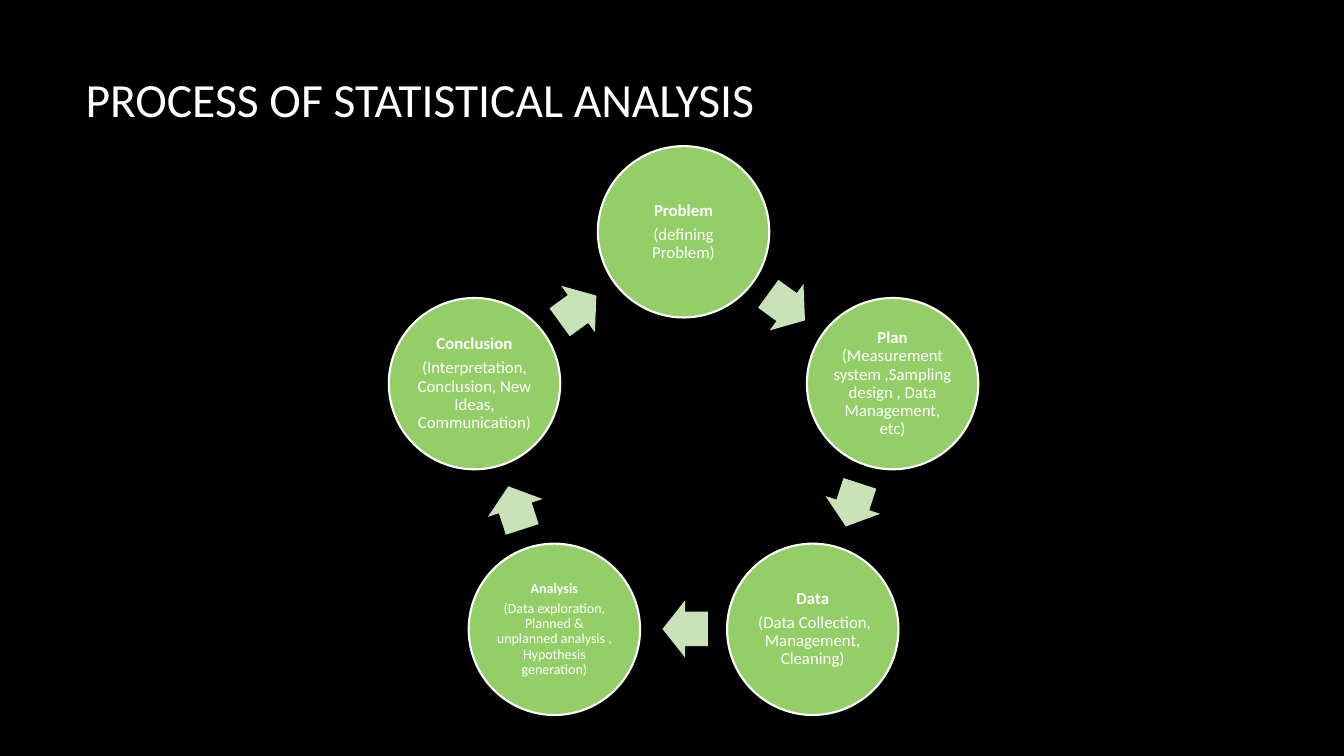
import math

import pptx
import pptx.dml.color
import pptx.enum.shapes
import pptx.enum.text
import pptx.util

Inches = pptx.util.Inches
Pt = pptx.util.Pt
SHAPES = pptx.enum.shapes.MSO_SHAPE
MIDDLE = pptx.enum.text.MSO_ANCHOR.MIDDLE
CENTER = pptx.enum.text.PP_ALIGN.CENTER


def paint(target, color):
    if hasattr(target, "solid"):
        target.solid()
        target = target.fore_color
    target.rgb = pptx.dml.color.RGBColor.from_string(color)


def write(para, text, size, bold=False):
    span = para.add_run()
    span.text = text
    for name, value in {"name": "Calibri", "size": Pt(size), "bold": bold}.items():
        setattr(span.font, name, value)
    paint(span.font.color, "FFFFFF")


deck = pptx.Presentation()
deck.slide_width = Inches(13.33)
deck.slide_height = Inches(7.5)
page = deck.slides.add_slide(deck.slide_layouts[6])
paint(page.background.fill, "000000")

title = page.shapes.add_textbox(Inches(0.75), Inches(0.67), Inches(11.08), Inches(0.62))
title.text_frame.word_wrap = True
title.text_frame.vertical_anchor = MIDDLE
write(title.text_frame.paragraphs[0], "PROCESS OF STATISTICAL ANALYSIS", 34)

stages = [
    (12, [[("Problem", True)], [("(defining Problem)", False)]]),
    (12, [[("Plan", True),
           (" (Measurement system ,Sampling design , Data Management, etc)", False)]]),
    (12, [[("Data", True)], [(" (Data Collection, Management, Cleaning)", False)]]),
    (10, [[("Analysis", True)],
          [("(Data exploration, Planned & unplanned analysis , Hypothesis generation)", False)]]),
    (12, [[("Conclusion", True)],
          [("(Interpretation, Conclusion, New Ideas, Communication)", False)]]),
]

ring_x, ring_y = 6.78, 4.48
step = 360 / len(stages)
arrow_lag = 0.5
parts = [
    (SHAPES.OVAL, 2.18, 0, 1.7, 1.7, "94CE67"),
    (SHAPES.RIGHT_ARROW, 1.76, step / 2 - arrow_lag, 0.45, 0.57, "C8E3B8"),
]

for index, (size, paragraphs) in enumerate(stages):
    for kind, radius, offset, width, height, color in parts:
        angle = math.radians(index * step + offset)
        left = ring_x + radius * math.sin(angle) - width / 2
        top = ring_y - radius * math.cos(angle) - height / 2
        shape = page.shapes.add_shape(
            kind, Inches(left), Inches(top), Inches(width), Inches(height))
        shape.shadow.inherit = False
        paint(shape.fill, color)

        if kind == SHAPES.RIGHT_ARROW:
            shape.line.fill.background()
            shape.rotation = (index + 0.5) * step
            shape.adjustments[0] = 0.6
            shape.adjustments[1] = 0.5
            continue

        paint(shape.line.fill, "FFFFFF")
        shape.line.width = Pt(1.5)
        box = shape.text_frame
        inset = Pt(size / 10)
        frame_format = {
            "word_wrap": True, "vertical_anchor": MIDDLE,
            "margin_left": inset, "margin_right": inset,
            "margin_top": inset, "margin_bottom": inset,
        }
        for name, value in frame_format.items():
            setattr(box, name, value)
        for row, spans in enumerate(paragraphs):
            para = box.add_paragraph() if row else box.paragraphs[0]
            para_format = {"alignment": CENTER, "line_spacing": 0.9,
                           "space_after": Pt(0.35 * size)}
            for name, value in para_format.items():
                setattr(para, name, value)
            for text, bold in spans:
                write(para, text, size, bold)

deck.save("out.pptx")
